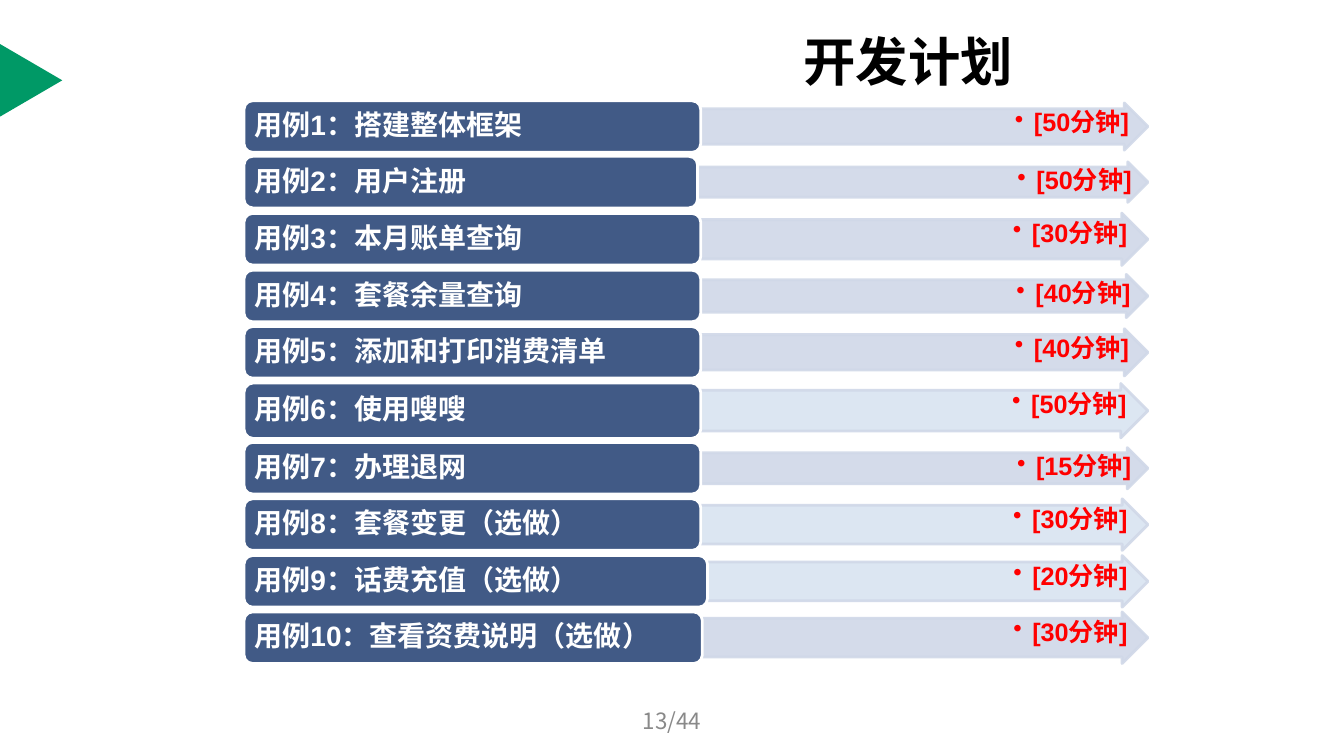
"""Build the development plan slide: ten use cases with their time budgets."""
import pptx
import pptx.util
from lxml import etree
from pptx.dml.color import RGBColor
from pptx.enum.shapes import MSO_SHAPE
from pptx.enum.text import MSO_ANCHOR, PP_ALIGN
from pptx.oxml.ns import qn
from pptx.util import Cm, Pt

COLORS = {"green": "009966", "bar": "415A86", "edge": "D0D8E8", "pale": "DCE6F2",
          "white": "FFFFFF", "red": "FF0000", "black": "000000", "grey": "898989"}
CJK = "Noto Sans CJK SC"


def add_shape(kind, left, top, width, height, fill, line=None, alpha=None):
    shape = page.shapes.add_shape(kind, Cm(left), Cm(top), Cm(width), Cm(height))
    shape.shadow.inherit = False
    shape.fill.solid()
    shape.fill.fore_color.rgb = RGBColor.from_string(COLORS[fill])
    if line:
        shape.line.color.rgb = RGBColor.from_string(COLORS[line])
        shape.line.width = Pt(2)
    else:
        shape.line.fill.background()
    if alpha:
        for color in shape.element.spPr.iter(qn("a:srgbClr")):
            if color.get("val") == COLORS["edge"]:
                etree.SubElement(color, qn("a:alpha"), val=str(alpha * 1000))
    return shape


def write(box, text, size, color, font, bold, align, anchor, insets=(0.25, 0.13), bullet=False):
    frame = box.text_frame
    frame.word_wrap = True
    frame.vertical_anchor = anchor
    frame.margin_left = frame.margin_right = Cm(insets[0])
    frame.margin_top = frame.margin_bottom = Cm(insets[1])
    para = frame.paragraphs[0]
    para.text = text
    para.alignment = align
    if bullet:
        para.level = 1
        props = para._p.get_or_add_pPr()
        props.set("marL", str(Cm(0.48)))
        props.set("indent", str(-Cm(0.48)))
        etree.SubElement(props, qn("a:buChar"), char="•")
    para.font.size = Pt(size)
    para.font.bold = bold
    para.font.color.rgb = RGBColor.from_string(COLORS[color])
    para.font.name = font
    etree.SubElement(para._p.pPr.find(qn("a:defRPr")), qn("a:ea"), typeface=CJK)
    return para


deck = pptx.Presentation()
deck.slide_width, deck.slide_height = Cm(33.87), Cm(19.05)
page = deck.slides.add_slide(deck.slide_layouts[5])

marker = add_shape(MSO_SHAPE.ISOSCELES_TRIANGLE, -0.13, 1.24, 1.83, 1.57, "green")
marker.rotation = 90

title = page.shapes.title
title.left, title.top, title.width, title.height = Cm(20), Cm(0.79), Cm(9.14), Cm(1.45)
write(title, "开发计划", 37.4, "black", CJK, True, PP_ALIGN.LEFT, MSO_ANCHOR.MIDDLE)

BAR_LEFT, ARROW_RIGHT = 6.15, 28.93
use_cases = [
    ("搭建整体框架", 50, 2.54, 1.3, 17.66, 1.19, "edge"),
    ("用户注册", 50, 3.94, 1.3, 17.58, 1.02, "edge"),
    ("本月账单查询", 30, 5.38, 1.3, 17.66, 1.32, "edge"),
    ("套餐余量查询", 40, 6.81, 1.3, 17.66, 1.09, "edge"),
    ("添加和打印消费清单", 40, 8.23, 1.3, 17.66, 1.19, "edge"),
    ("使用嗖嗖", 50, 9.65, 1.4, 17.66, 1.37, "pale"),
    ("办理退网", 15, 11.15, 1.3, 17.66, 1.04, "edge"),
    ("套餐变更（选做）", 30, 12.57, 1.3, 17.66, 1.3, "pale"),
    ("话费充值（选做）", 20, 14, 1.3, 17.83, 1.3, "pale"),
    ("查看资费说明（选做）", 30, 15.42, 1.3, 17.7, 1.3, "edge"),
]
for number, (name, minutes, top, height, split, arrow_height, fill) in enumerate(use_cases, 1):
    arrow_top = top + (height - arrow_height) / 2
    arrow_width = ARROW_RIGHT - split
    arrow = add_shape(MSO_SHAPE.RIGHT_ARROW, split, arrow_top, arrow_width, arrow_height,
                      fill, "edge", 90)
    arrow.adjustments[0] = 0.75

    box = page.shapes.add_textbox(Cm(split), Cm(arrow_top + arrow_height / 8),
                                  Cm(arrow_width - arrow_height * 0.375),
                                  Cm(arrow_height * 0.75))
    para = write(box, f"[{minutes}分钟]", 18, "red", "Arial", True, PP_ALIGN.RIGHT,
                 MSO_ANCHOR.TOP, (0.03, 0.03), bullet=True)
    para.line_spacing = 0.9
    para.space_after = Pt(2.7)

    bar_width = split - BAR_LEFT
    add_shape(MSO_SHAPE.ROUNDED_RECTANGLE, BAR_LEFT, top, bar_width, height, "bar", "white")
    box = page.shapes.add_textbox(Cm(BAR_LEFT + 0.06), Cm(top + 0.06),
                                  Cm(bar_width - 0.12), Cm(height - 0.12))
    para = write(box, f"用例{number}：{name}", 20, "white", "Arial", True, PP_ALIGN.LEFT,
                 MSO_ANCHOR.MIDDLE, (0.2, 0.1))
    para.line_spacing = 0.9
    para.space_after = Pt(7)

box = page.shapes.add_textbox(Cm(11.58), Cm(17.65), Cm(10.72), Cm(1.02))
write(box, "13/44", 16, "grey", CJK, False, PP_ALIGN.CENTER, MSO_ANCHOR.MIDDLE)

deck.save("out.pptx")
